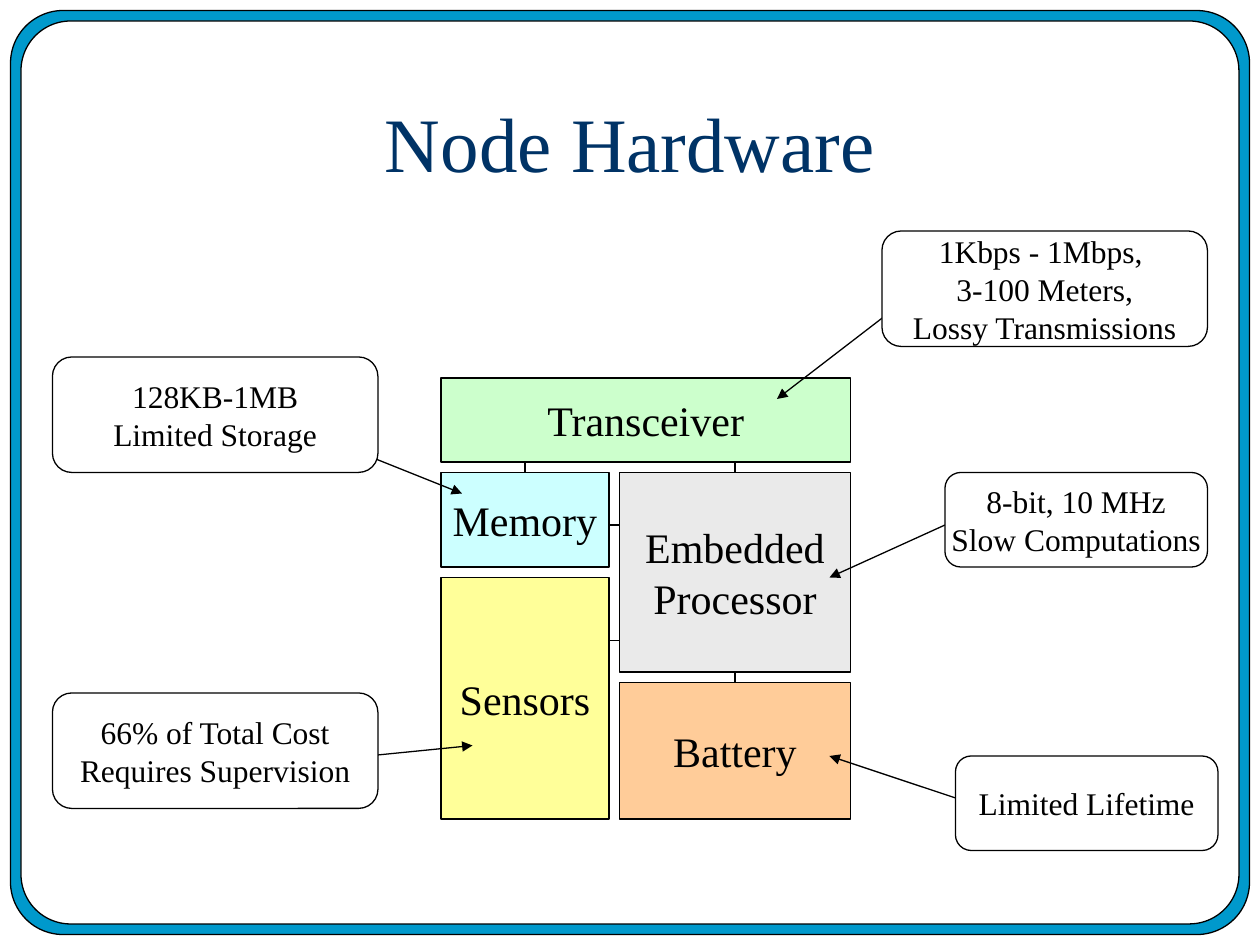
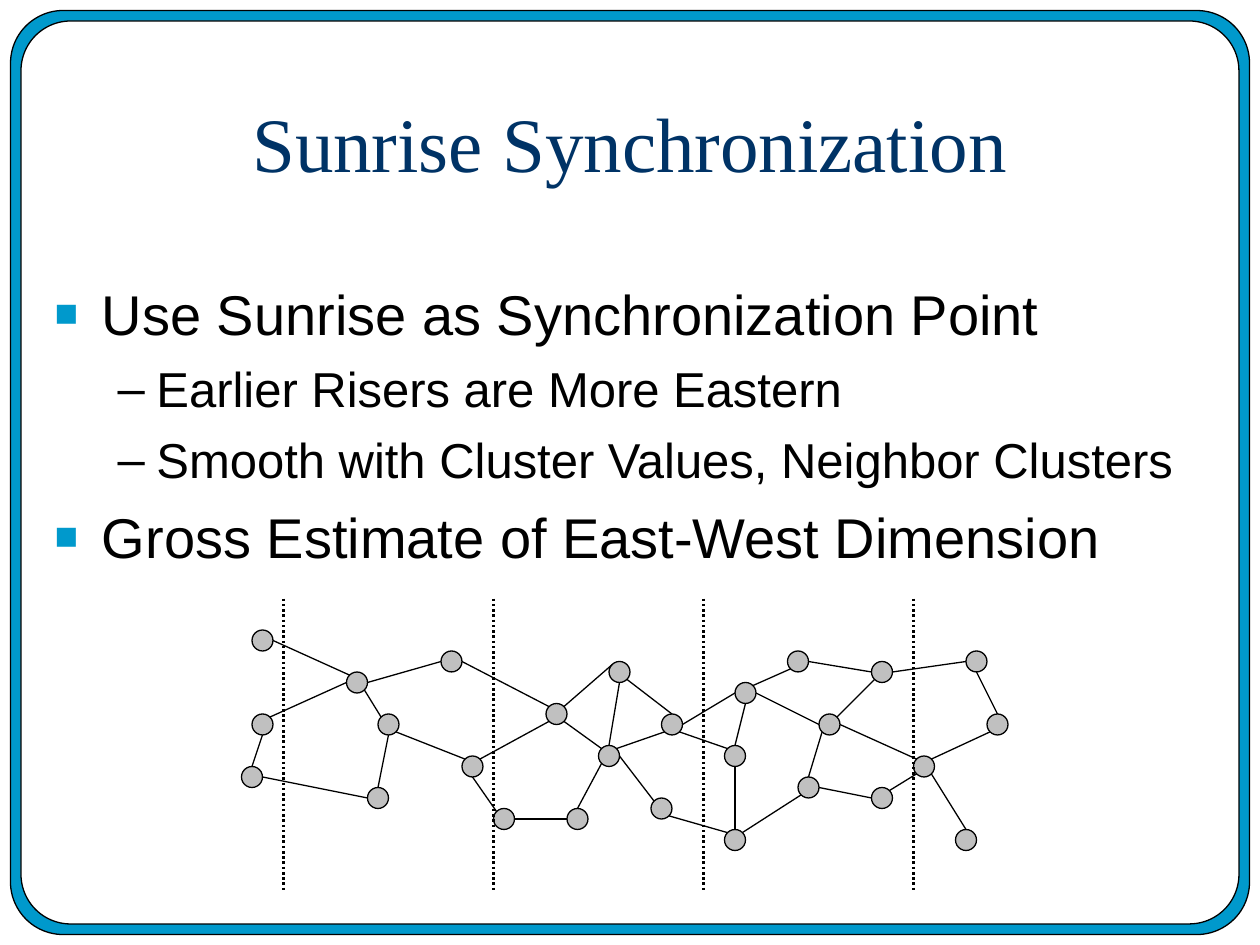
from typing import NamedTuple

import pptx
import pptx.dml.color
import pptx.enum.dml
import pptx.enum.shapes
import pptx.enum.text
import pptx.oxml
import pptx.oxml.ns
import pptx.util
from pptx.enum.shapes import MSO_SHAPE

EMU_PER_PX = 7620
SERIF = "Times New Roman"
SANS = "Arial"
BLACK = "000000"
WHITE = "FFFFFF"
BLUE = "0099CC"
NAVY = "003366"
GREY = "C0C0C0"
NODE_RADIUS = 10
DIAGONAL = 7


class Panel(NamedTuple):
    text: str
    left: int
    top: int
    width: int
    height: int
    fill: str = WHITE
    size: int = 24
    preset: MSO_SHAPE = MSO_SHAPE.RECTANGLE


class Callout(NamedTuple):
    text: str
    left: int
    top: int
    width: int
    height: int
    start: tuple[int, int]
    target: tuple[int, int]


class Level(NamedTuple):
    size: int
    bullet: str
    bullet_color: str
    bullet_percent: int
    margin: int
    hanging: int
    before: int


class Link(NamedTuple):
    first: int
    first_side: str
    second: int
    second_side: str


FRAME = [
    (Panel("", 10, 10, 1180, 880, BLUE, preset=MSO_SHAPE.ROUNDED_RECTANGLE), 0.057),
    (Panel("", 20, 20, 1160, 860, WHITE, preset=MSO_SHAPE.ROUNDED_RECTANGLE), 0.055),
]

PARTS = [
    Panel("Embedded\nProcessor", 590, 450, 220, 190, "EAEAEA"),
    Panel("Transceiver", 420, 360, 390, 80, "CCFFCC"),
    Panel("Memory", 420, 450, 160, 90, "CCFFFF"),
    Panel("Sensors", 420, 550, 160, 230, "FFFF99"),
    Panel("Battery", 590, 650, 220, 130, "FFCC99"),
]

CALLOUTS = [
    Callout("1Kbps - 1Mbps, \n3-100 Meters,\nLossy Transmissions", 840, 220, 310, 110, (870, 280), (740, 380)),
    Callout("8-bit, 10 MHz\nSlow Computations", 900, 450, 250, 90, (900, 500), (790, 550)),
    Callout("Limited Lifetime", 910, 720, 250, 90, (910, 760), (790, 720)),
    Callout("128KB-1MB\nLimited Storage", 50, 340, 310, 110, (340, 430), (440, 470)),
    Callout("66% of Total Cost\nRequires Supervision", 50, 660, 310, 110, (350, 720), (450, 710)),
]

LEVELS = [
    Level(32, "■", BLUE, 70, 45, 45, 8),
    Level(28, "–", BLACK, 100, 97, 37, 7),
]

POINTS = [
    (0, "Use Sunrise as Synchronization Point"),
    (1, "Earlier Risers are More Eastern"),
    (1, "Smooth with Cluster Values, Neighbor Clusters"),
    (0, "Gross Estimate of East-West Dimension"),
]

NODES = [
    (240, 740), (250, 690), (250, 610), (360, 760), (370, 690), (430, 630), (450, 730),
    (340, 650), (550, 780), (530, 680), (590, 640), (580, 720), (710, 660), (770, 750),
    (760, 630), (790, 690), (840, 760), (840, 640), (880, 730), (950, 690), (930, 630),
    (920, 800), (630, 770), (700, 800), (640, 690), (700, 720), (480, 780),
]

SIDES = {
    "N": (0, -NODE_RADIUS), "S": (0, NODE_RADIUS), "W": (-NODE_RADIUS, 0), "E": (NODE_RADIUS, 0),
    "NW": (-DIAGONAL, -DIAGONAL), "NE": (DIAGONAL, -DIAGONAL),
    "SW": (-DIAGONAL, DIAGONAL), "SE": (DIAGONAL, DIAGONAL),
}

LINKS = [
    Link(19, "N", 20, "S"), Link(19, "SW", 18, "NE"), Link(21, "N", 18, "SE"),
    Link(16, "NE", 18, "SW"), Link(16, "W", 13, "E"), Link(23, "NE", 13, "SW"),
    Link(18, "NW", 15, "E"), Link(15, "NE", 17, "SW"), Link(15, "W", 12, "E"),
    Link(12, "NE", 14, "SW"), Link(17, "W", 14, "E"), Link(13, "N", 15, "SW"),
    Link(23, "N", 25, "S"), Link(22, "SE", 23, "NW"), Link(25, "N", 12, "S"),
    Link(25, "NW", 24, "SE"), Link(11, "E", 22, "NW"), Link(10, "SE", 24, "N"),
    Link(24, "E", 12, "W"), Link(11, "SW", 8, "N"), Link(26, "E", 8, "W"),
    Link(6, "S", 26, "NW"), Link(9, "SE", 11, "NW"), Link(10, "S", 11, "N"),
    Link(5, "E", 9, "NW"), Link(4, "SE", 6, "NW"), Link(3, "N", 4, "S"),
    Link(6, "NE", 9, "SW"), Link(11, "NE", 24, "SW"), Link(0, "E", 3, "W"),
    Link(0, "N", 1, "S"), Link(7, "W", 1, "NE"), Link(7, "SE", 4, "NW"),
    Link(2, "E", 7, "NW"), Link(7, "E", 5, "W"), Link(17, "E", 20, "W"),
    Link(9, "NE", 10, "NW"),
]


def px(length: int) -> pptx.util.Emu:
    return pptx.util.Emu(length * EMU_PER_PX)


def rgb(value: str) -> pptx.dml.color.RGBColor:
    return pptx.dml.color.RGBColor.from_string(value)


def place(shape, left: int, top: int, width: int, height: int) -> None:
    shape.left, shape.top, shape.width, shape.height = map(px, (left, top, width, height))


def add_xml(parent, tag: str, **attributes: str):
    child = pptx.oxml.ns.qn(tag)
    element = parent.makeelement(child, attributes)
    parent.append(element)
    return element


def format_text(frame, name: str, size: int, color: str) -> None:
    frame.vertical_anchor = pptx.enum.text.MSO_ANCHOR.MIDDLE
    for para in frame.paragraphs:
        para.alignment = pptx.enum.text.PP_ALIGN.CENTER
        for span in para.runs:
            span.font.name = name
            span.font.size = pptx.util.Pt(size)
            span.font.color.rgb = rgb(color)


def draw_panel(page, panel: Panel):
    box = page.shapes.add_shape(
        panel.preset, px(panel.left), px(panel.top), px(panel.width), px(panel.height))
    box.shadow.inherit = False
    box.fill.solid()
    box.fill.fore_color.rgb = rgb(panel.fill)
    box.line.color.rgb = rgb(BLACK)
    box.line.width = pptx.util.Pt(0.75)
    if panel.text:
        box.text_frame.text = panel.text
        box.text_frame.word_wrap = False
        format_text(box.text_frame, SERIF, panel.size, BLACK)
    return box


def draw_line(page, start: tuple[int, int], end: tuple[int, int],
              width: float = 0.75, arrow: bool = False):
    line = page.shapes.add_connector(
        pptx.enum.shapes.MSO_CONNECTOR.STRAIGHT, *map(px, start + end))
    line.line.color.rgb = rgb(BLACK)
    line.line.width = pptx.util.Pt(width)
    if arrow:
        add_xml(line.line._get_or_add_ln(), "a:tailEnd", type="triangle")
    add_xml(line._element.spPr, "a:effectLst")
    return line


def add_page(deck, layout: int, title: str):
    page = deck.slides.add_slide(deck.slide_layouts[layout])
    heading = page.shapes.title
    place(heading, 0, 60, 1200, 150)
    heading.text_frame.text = title
    format_text(heading.text_frame, SERIF, 44, NAVY)
    return page


def add_frame_to_master(deck, page) -> None:
    tree = deck.slide_master.element.cSld.spTree
    for order, (panel, rounding) in enumerate(FRAME):
        border = draw_panel(page, panel)
        border.adjustments[0] = rounding
        border.element.nvSpPr.cNvPr.id = 101 + order
        tree.insert(2 + order, border.element)


def draw_hardware(page) -> None:
    processor, transceiver, memory, sensors, battery = [draw_panel(page, part) for part in PARTS]
    supply = draw_line(page, (700, 650), (700, 640))
    supply.begin_connect(battery, 0)
    supply.end_connect(processor, 2)
    for height in (500, 610):
        draw_line(page, (580, height), (590, height))
    for part, center in ((processor, 700), (memory, 500)):
        draw_line(page, (center, 450), (center, 440)).begin_connect(part, 0)
    for note in CALLOUTS:
        draw_line(page, note.start, note.target, arrow=True)
        draw_panel(page, Panel(note.text, note.left, note.top, note.width, note.height,
                               size=18, preset=MSO_SHAPE.ROUNDED_RECTANGLE))


def fill_points(body) -> None:
    place(body, 40, 260, 1142, 540)
    frame = body.text_frame
    frame.auto_size = pptx.enum.text.MSO_AUTO_SIZE.NONE
    frame.text = "\n".join(text for _, text in POINTS)
    for order, (para, (depth, _)) in enumerate(zip(frame.paragraphs, POINTS)):
        level = LEVELS[depth]
        para.level = depth
        para.space_before = pptx.util.Pt(level.before if order else 0)
        properties = para._p.get_or_add_pPr()
        properties.set("marL", str(px(level.margin)))
        properties.set("indent", str(px(-level.hanging)))
        color = add_xml(properties, "a:buClr")
        add_xml(color, "a:srgbClr", val=level.bullet_color)
        add_xml(properties, "a:buSzPct", val=str(level.bullet_percent * 1000))
        add_xml(properties, "a:buFont", typeface=SANS)
        add_xml(properties, "a:buChar", char=level.bullet)
        for span in para.runs:
            span.font.name = SANS
            span.font.size = pptx.util.Pt(level.size)
            span.font.color.rgb = rgb(BLACK)


def site(node: int, side: str) -> tuple[int, int]:
    (x, y), (across, down) = NODES[node], SIDES[side]
    return x + across, y + down


def draw_network(page) -> None:
    for x, y in NODES:
        draw_panel(page, Panel("", x - NODE_RADIUS, y - NODE_RADIUS, 2 * NODE_RADIUS,
                               2 * NODE_RADIUS, GREY, preset=MSO_SHAPE.OVAL))
    for link in LINKS:
        draw_line(page, site(link.first, link.first_side), site(link.second, link.second_side))
    for x in range(270, 871, 200):
        meridian = draw_line(page, (x, 570), (x, 850), width=1.5)
        meridian.line.dash_style = pptx.enum.dml.MSO_LINE.ROUND_DOT


def main() -> None:
    deck = pptx.Presentation()
    deck.slide_width, deck.slide_height = px(1200), px(900)
    hardware = add_page(deck, 5, "Node Hardware")
    add_frame_to_master(deck, hardware)
    draw_hardware(hardware)
    sunrise = add_page(deck, 1, "Sunrise Synchronization")
    fill_points(sunrise.placeholders[1])
    draw_network(sunrise)
    deck.save("out.pptx")


if __name__ == "__main__":
    main()
